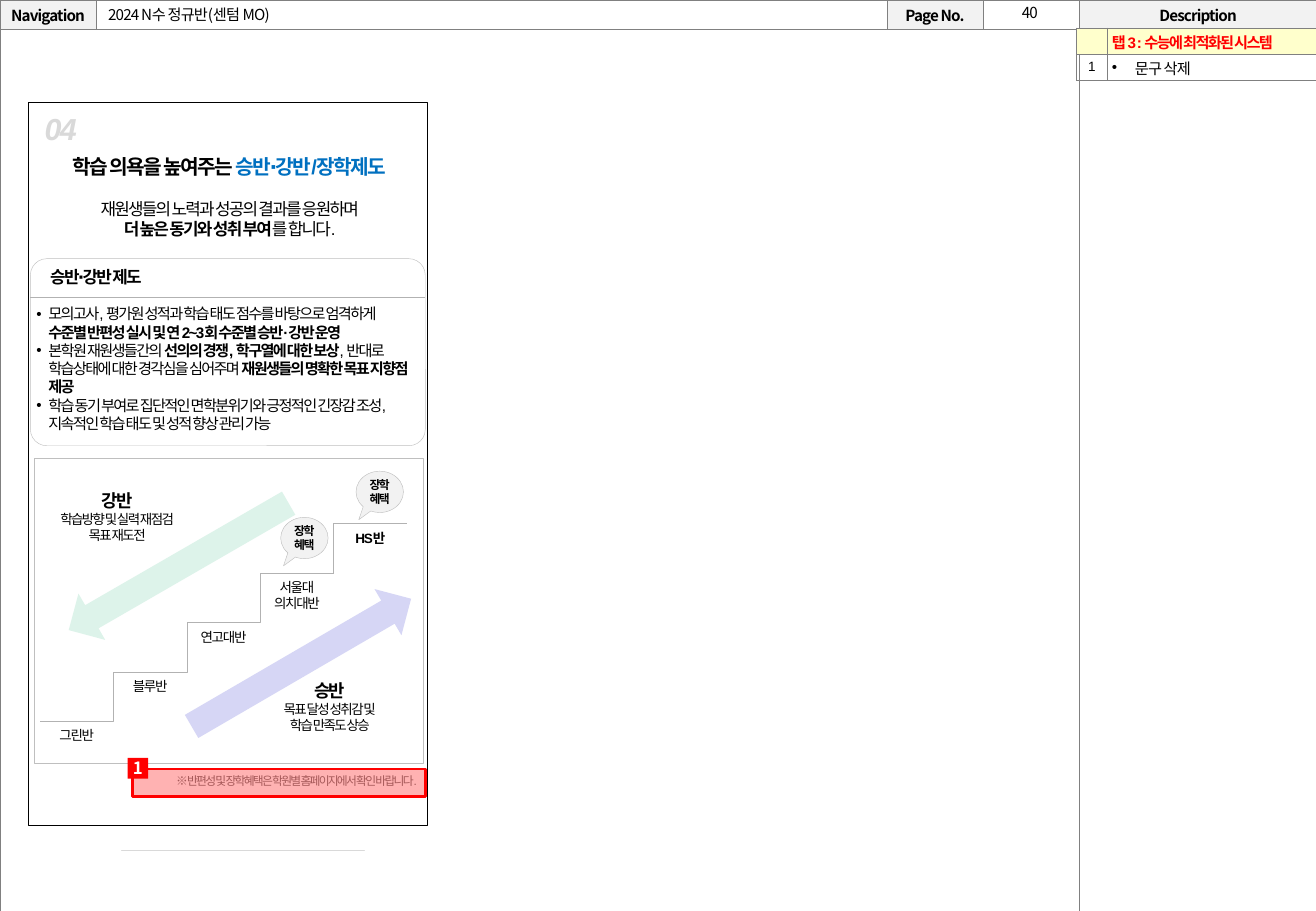
from lxml import etree
from pptx import Presentation
from pptx.dml.color import RGBColor
from pptx.enum import shapes, text
from pptx.oxml.ns import qn
from pptx.util import Inches, Pt

# Content: a paragraph is a list of runs (words, size, bold, colour)
WIDTH, HEIGHT = 10.83, 7.5
HANGUL, LATIN = "Noto Sans CJK KR", "Arial"
BLACK, GREY, PALE, RED, WHITE = "000000", "808080", "F2F2F2", "FF0000", "FFFFFF"
EDGE, STEP_LINE, FAINT = "BFBFBF", "B2B2B2", "D9D9D9"

TITLE = "2024 N수 정규반(센텀 MO)"
PAGE_NUMBER = "40"
HEADER_COLUMNS = [0.79, 6.51, 0.79, 0.79, 1.96]
HEADER_ROWS = [0.24, 7.26]
HEADER_LABELS = {0: "Navigation", 2: "Page No.", 4: "Description"}

HEADLINE = [
    [("학습 의욕을 높여주는 ", 12, True, BLACK), ("승반∙강반/장학제도", 12, True, "0070C0")],
    [("재원생들의 노력과 성공의 결과를 응원하며", 10, False, BLACK)],
    [("더 높은 동기와 성취 부여", 10, True, BLACK), ("를 합니다.", 10, False, BLACK)],
]
RULES = [
    [("모의고사, 평가원 성적과 학습 태도 점수를 바탕으로 엄격하게 ", 9, False, BLACK),
     ("수준별 반편성 실시 및 연 2~3회 수준별 승반·강반 운영", 9, True, BLACK)],
    [("본학원 재원생들간의 ", 9, False, BLACK),
     ("선의의 경쟁, 학구열에 대한 보상", 9, True, BLACK),
     (", 반대로 학습상태에 대한 경각심을 심어주며 ", 9, False, BLACK),
     ("재원생들의 명확한 목표 지향점 제공", 9, True, BLACK)],
    [("학습 동기 부여로 집단적인 면학분위기와 긍정적인 긴장감 조성, "
      "지속적인 학습 태도 및 성적 향상 관리 가능", 9, False, BLACK)],
]
CLASSES = [["그린반"], ["블루반"], ["연고대반"], ["서울대", "의치대반"], ["HS반"]]
# Arrow place, turn, colour; caption place, heading, lines
MOVES = [
    ((2.26, 4.41), 59.8, "D6D6F5", (2.05, 5.55), "승반", ["목표 달성 성취감 및", "학습 만족도 상승"]),
    ((1.25, 3.62), 240, "DDF3EA", (0.3, 3.98), "강반", ["학습방향 및 실력 재점검", "목표 재도전"]),
]
CALLOUTS = [(2.93, 3.88), (2.31, 4.26)]
BENEFIT = ["장학", "혜택"]
FOOTNOTE = "※ 반편성 및 장학혜택은 학원별 홈페이지에서 확인 바랍니다."
NOTES = [("", "탭 3 : 수능에 최적화된 시스템"), ("1", "문구 삭제")]
ZIGZAG = [0.7, 0.96, 1.25, 1.49, 1.8, 2.03, 2.34, 2.56, 2.89]

LEFT, CENTER, RIGHT = text.PP_ALIGN.LEFT, text.PP_ALIGN.CENTER, text.PP_ALIGN.RIGHT
MIDDLE = text.MSO_ANCHOR.MIDDLE
KIND = shapes.MSO_SHAPE

deck = Presentation()
deck.slide_width, deck.slide_height = Inches(WIDTH), Inches(HEIGHT)
page = deck.slides.add_slide(deck.slide_layouts[5])


def color(code):
    return RGBColor.from_string(code)


def place(*lengths):
    return [Inches(length) for length in lengths]


def write(frame, paras, align=LEFT, font=LATIN, spacing=-1, indent=0, italic=False):
    for index, runs in enumerate(paras):
        para = frame.paragraphs[0] if index == 0 else frame.add_paragraph()
        para.alignment = align
        if indent:
            props = para._p.get_or_add_pPr()
            props.set("marL", str(Inches(indent)))
            props.set("indent", str(-Inches(indent)))
            etree.SubElement(props, qn("a:buFont")).set("typeface", LATIN)
            etree.SubElement(props, qn("a:buChar")).set("char", "•")
        for words, size, bold, code in runs:
            span = para.add_run()
            span.text = words
            span.font.size, span.font.bold = Pt(size), bold
            span.font.italic = italic
            span.font.name = font
            span.font.color.rgb = color(code)
            props = span._r.get_or_add_rPr()
            props.set("spc", str(int(spacing * 100)))
            etree.SubElement(props, qn("a:ea")).set("typeface", HANGUL)


def label(at, paras, align=CENTER, **style):
    box = page.shapes.add_textbox(*place(*at))
    box.text_frame.word_wrap = True
    write(box.text_frame, paras, align, **style)
    return box


def paint(shape, fill=None, line=None, width=0.25):
    shape.shadow.inherit = False
    if fill:
        shape.fill.solid()
        shape.fill.fore_color.rgb = color(fill)
    else:
        shape.fill.background()
    if line:
        shape.line.color.rgb = color(line)
        shape.line.width = Pt(width)
    else:
        shape.line.fill.background()
    return shape


def draw(kind, at, fill=None, line=None, width=0.25):
    return paint(page.shapes.add_shape(kind, *place(*at)), fill, line, width)


def connect(kind, *ends):
    line = page.shapes.add_connector(kind, *place(*ends))
    line.line.color.rgb = color(STEP_LINE)
    line.line.width = Pt(0.25)
    etree.SubElement(line._element.spPr, qn("a:effectLst"))


def grid(left, top, columns, rows):
    table = page.shapes.add_table(len(rows), len(columns), *place(left, top, sum(columns), sum(rows))).table
    table.first_row = table.horz_banding = False
    for column, width in zip(table.columns, columns):
        column.width = Inches(width)
    for row, height in zip(table.rows, rows):
        row.height = Inches(height)
    return table


def dress(cell, fill=None, margin=0):
    cell.margin_left = cell.margin_right = cell.margin_top = cell.margin_bottom = Inches(margin)
    cell.vertical_anchor = MIDDLE
    if fill:
        cell.fill.solid()
        cell.fill.fore_color.rgb = color(fill)
    else:
        cell.fill.background()
    props = cell._tc.get_or_add_tcPr()
    for index, side in enumerate(("lnL", "lnR", "lnT", "lnB")):
        border = etree.Element(qn("a:" + side), w=str(Pt(0.25)))
        solid = etree.SubElement(border, qn("a:solidFill"))
        etree.SubElement(solid, qn("a:srgbClr")).set("val", GREY)
        props.insert(index, border)
    if not cell.text_frame.text:
        etree.SubElement(cell.text_frame.paragraphs[0]._p, qn("a:endParaRPr")).set("sz", "800")


# Page frame with navigation bar
frame = grid(0, 0, HEADER_COLUMNS, HEADER_ROWS)
frame.cell(1, 0).merge(frame.cell(1, 3))
for row in range(2):
    for column in range(5):
        cell = frame.cell(row, column)
        heading = HEADER_LABELS.get(column) if row == 0 else None
        if heading:
            write(cell.text_frame, [[(heading, 9, True, BLACK)]], CENTER, HANGUL, -0.5)
        dress(cell, PALE if heading else None)
label((8.09, -0.02, 0.77, 0.25), [[(PAGE_NUMBER, 9, False, BLACK)]], font=HANGUL, spacing=-0.5)
title = page.shapes.title
title.left, title.top, title.width, title.height = place(0.79, 0, 6.52, 0.23)
title.text_frame.auto_size = text.MSO_AUTO_SIZE.NONE
title.text_frame.vertical_anchor = MIDDLE
write(title.text_frame, [[(TITLE, 9, False, BLACK)]], font=HANGUL, spacing=-0.5)

# Staircase of classes
draw(KIND.RECTANGLE, (0.28, 3.77, 3.2, 2.51), WHITE, EDGE)
TREAD, RISE, START, GROUND = 0.604, 0.407, 0.33, 5.94
for step, names in enumerate(CLASSES):
    left, top = START + step * TREAD, GROUND - step * RISE
    label((left + TREAD / 2 - 0.34, top, 0.68, 0.24),
          [[(name, 8, step == len(CLASSES) - 1, BLACK)] for name in names], spacing=-0.8)
    if step < len(CLASSES) - 1:
        connect(shapes.MSO_CONNECTOR.ELBOW, left + 2 * TREAD, top - RISE, left, top)

# Arrows with captions
for spot, turn, fill, caption, heading, lines in MOVES:
    draw(KIND.UP_ARROW, (*spot, 0.44, 2.09), fill).rotation = turn
    label((*caption, 1.33, 0.55),
          [[(heading, 10.5, True, BLACK)]] + [[(line, 8, False, BLACK)] for line in lines])

# Scholarship callouts
for spot in CALLOUTS:
    callout = draw(KIND.OVAL_CALLOUT, (*spot, 0.39, 0.34), PALE, EDGE)
    callout.adjustments[0], callout.adjustments[1] = -0.441, 0.674
    callout.text_frame.word_wrap = False
    callout.text_frame.vertical_anchor = MIDDLE
    write(callout.text_frame, [[(word, 7, True, BLACK)] for word in BENEFIT], CENTER, spacing=-0.8)

# Headline and rules card
headline = label((0.12, 1.22, 3.54, 0.81), HEADLINE)
headline.text_frame.paragraphs[1].space_before = Pt(12)
draw(KIND.ROUNDED_RECTANGLE, (0.25, 2.13, 3.25, 1.54), WHITE, EDGE).adjustments[0] = 0.088
connect(shapes.MSO_CONNECTOR.STRAIGHT, 0.25, 2.45, 3.5, 2.45)
label((0.01, 2.15, 1.56, 0.27), [[("승반∙강반 제도", 10, True, BLACK)]])

# Phone outline with torn lower edge
draw(KIND.RECTANGLE, (0.23, 0.84, 3.29, 5.95), None, BLACK)
upper = [(x, 6.68 + index % 2 * 0.1) for index, x in enumerate(ZIGZAG)]
lower = [(x, y + 0.09) for x, y in reversed(upper)]
tear = page.shapes.build_freeform(*upper[0], scale=Inches(1))
tear.add_line_segments(upper[1:] + lower, close=True)
paint(tear.convert_to_shape(), WHITE, FAINT, 0.5)
label((0.27, 0.86, 0.87, 0.4), [[("04", 18, True, FAINT)]], LEFT, italic=True)
label((0.96, 6.32, 2.57, 0.22), [[(FOOTNOTE, 7, False, GREY)]], RIGHT)
label((0.2, 2.46, 3.31, 1.16), RULES, LEFT, indent=0.1)

# Description notes
notes = grid(8.86, 0.23, [0.25, 1.72], [0.21, 0.21])
for row, (number, note) in enumerate(NOTES):
    first = row == 0
    if number:
        write(notes.cell(row, 0).text_frame, [[(number, 8, False, BLACK)]], CENTER)
    write(notes.cell(row, 1).text_frame, [[(note, 9, first, RED if first else BLACK)]],
          spacing=-1 if first else -0.5, indent=0 if first else 0.19)
    for column in range(2):
        cell = notes.cell(row, column)
        cell.text_frame.paragraphs[0].line_spacing = 0.9
        dress(cell, "FFFFCC" if first else None, 0.04)

# Marked deletion
area = draw(KIND.RECTANGLE, (1.09, 6.33, 2.41, 0.23), RED, RED, 1.5)
tint = area._element.spPr.find(qn("a:solidFill"))[0]
etree.SubElement(tint, qn("a:alpha")).set("val", "30000")
marker = draw(KIND.RECTANGLE, (1.05, 6.24, 0.17, 0.17), RED)
inside = marker.text_frame
inside.margin_left = inside.margin_right = inside.margin_top = inside.margin_bottom = 0
inside.vertical_anchor = MIDDLE
write(inside, [[("1", 10, True, WHITE)]], CENTER, HANGUL, 0)

deck.save("out.pptx")
